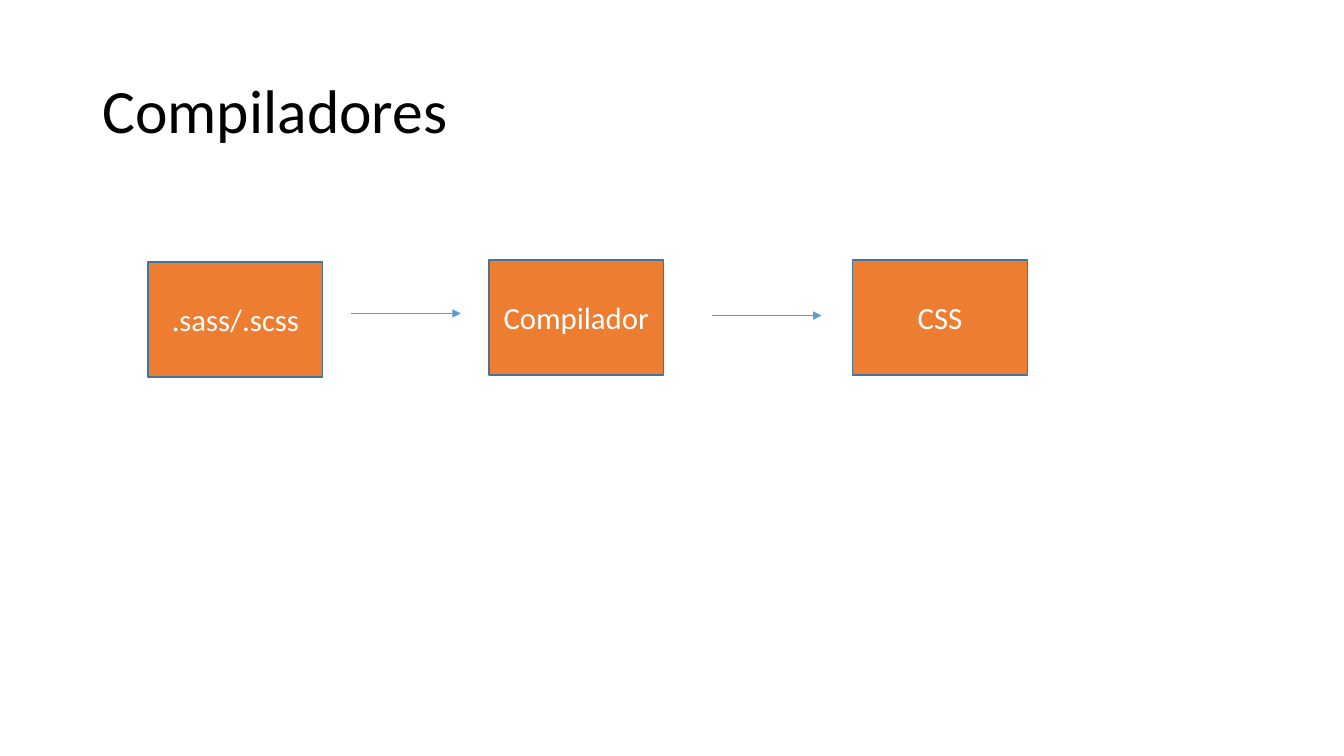
import pptx
import pptx.util
import pptx.dml.color
import pptx.enum.shapes
import pptx.enum.text
import pptx.oxml.ns
import lxml.etree

Pt = pptx.util.Pt
RGB = pptx.dml.color.RGBColor.from_string
qn = pptx.oxml.ns.qn

COLORS = {"title": "000000", "box": "ED7D31", "border": "43739E",
          "label": "FFFFFF", "arrow": "5B9BD5"}
BOX_W, BOX_H = 124.7, 82.2
ARROW_W = 78.5

prs = pptx.Presentation()
prs.slide_width, prs.slide_height = Pt(960), Pt(540)
s = prs.slides.add_slide(prs.slide_layouts[6])


def set_text(sp, text, size, color):
    tf = sp.text_frame
    tf.word_wrap = True
    tf.vertical_anchor = pptx.enum.text.MSO_ANCHOR.MIDDLE
    p = tf.paragraphs[0]
    p.text = text
    font = p.runs[0].font
    font.name, font.size = "Calibri", Pt(size)
    font.color.rgb = RGB(COLORS[color])
    return p


title = s.shapes.add_textbox(Pt(66.2), Pt(28.8), Pt(828), Pt(104.4))
set_text(title, "Compiladores", 44, "title").line_spacing = 0.9

for text, x, y in [(".sass/.scss", 105.8, 187.2),
                   ("Compilador", 349.2, 185.8),
                   ("CSS", 609.1, 185.8)]:
    sp = s.shapes.add_shape(pptx.enum.shapes.MSO_SHAPE.RECTANGLE,
                            Pt(x), Pt(y), Pt(BOX_W), Pt(BOX_H))
    sp.shadow.inherit = False
    sp.fill.solid()
    sp.fill.fore_color.rgb = RGB(COLORS["box"])
    sp.line.color.rgb = RGB(COLORS["border"])
    sp.line.width = Pt(1)
    p = set_text(sp, text, 22, "label")
    p.alignment = pptx.enum.text.PP_ALIGN.CENTER

for x, y in [(250.6, 223.9), (508.3, 225.4)]:
    arrow = s.shapes.add_connector(pptx.enum.shapes.MSO_CONNECTOR.STRAIGHT,
                                   Pt(x), Pt(y), Pt(x + ARROW_W), Pt(y))
    arrow.line.color.rgb = RGB(COLORS["arrow"])
    arrow.line.width = Pt(0.5)
    lxml.etree.SubElement(arrow.line._get_or_add_ln(), qn("a:tailEnd"), type="triangle")
    lxml.etree.SubElement(arrow._element.spPr, qn("a:effectLst"))

prs.save("out.pptx")
